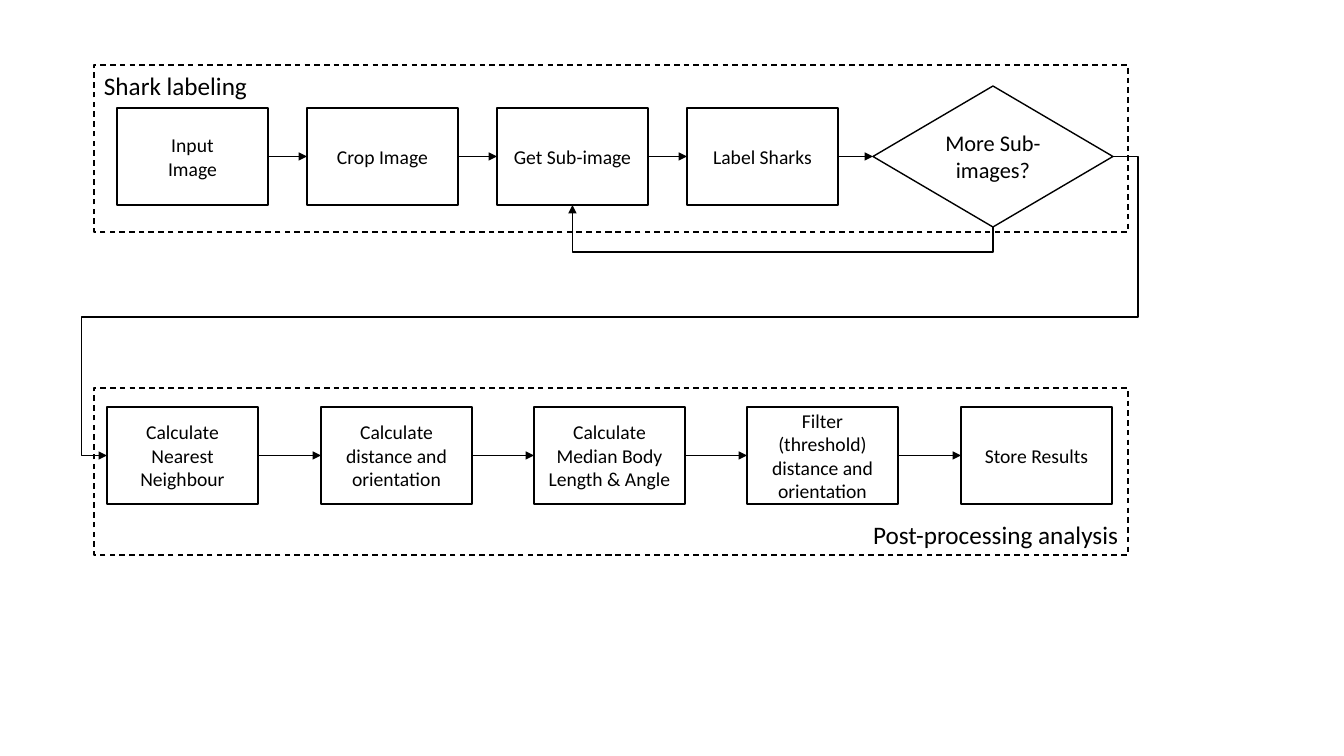
from dataclasses import dataclass
from itertools import pairwise
from typing import NamedTuple

from lxml import etree
from pptx import Presentation
from pptx.dml.color import RGBColor
from pptx.enum.dml import MSO_LINE
from pptx.enum.shapes import MSO_CONNECTOR, MSO_SHAPE
from pptx.enum.text import MSO_ANCHOR, PP_ALIGN
from pptx.oxml.ns import qn
from pptx.shapes.autoshape import Shape
from pptx.shapes.connector import Connector
from pptx.util import Emu, Pt

RECTANGLE, DIAMOND = MSO_SHAPE.RECTANGLE, MSO_SHAPE.DIAMOND
STRAIGHT, ELBOW = MSO_CONNECTOR.STRAIGHT, MSO_CONNECTOR.ELBOW
TOP, MIDDLE, BOTTOM = MSO_ANCHOR.TOP, MSO_ANCHOR.MIDDLE, MSO_ANCHOR.BOTTOM
LEFT, CENTER, RIGHT = PP_ALIGN.LEFT, PP_ALIGN.CENTER, PP_ALIGN.RIGHT
DASH, SOLID = MSO_LINE.DASH, MSO_LINE.SOLID
LEFT_SITE, BOTTOM_SITE, RIGHT_SITE = 1, 2, 3
EMU_PER_PIXEL = 914400 / 100.8


@dataclass(frozen=True)
class Theme:
    ink: RGBColor = RGBColor(0, 0, 0)
    paper: RGBColor = RGBColor(255, 255, 255)
    font: str = "Calibri"
    frame_size: Pt = Pt(18)
    decision_size: Pt = Pt(16)
    step_size: Pt = Pt(14)
    stroke: Pt = Pt(1)


class Box(NamedTuple):
    left: int
    top: int
    width: int
    height: int


@dataclass(frozen=True)
class Node:
    text: str
    box: Box
    size: Pt
    geometry: MSO_SHAPE = RECTANGLE
    anchor: MSO_ANCHOR = MIDDLE
    alignment: PP_ALIGN = CENTER
    dash: MSO_LINE = SOLID


THEME = Theme()
STEP_WIDTH, STEP_HEIGHT = 151, 97
LABELING_LEFT, LABELING_TOP, LABELING_PITCH = 117, 108, 190
ANALYSIS_LEFT, ANALYSIS_TOP, ANALYSIS_SPAN = 107, 407, 854

LABELING_STEPS = ["Input\nImage", "Crop Image", "Get Sub-image", "Label Sharks"]
ANALYSIS_STEPS = [
    "Calculate Nearest Neighbour",
    "Calculate distance and orientation",
    "Calculate Median Body Length & Angle",
    "Filter (threshold) distance and orientation",
    "Store Results",
]
FRAMES = [
    Node("Shark labeling", Box(94, 65, 1034, 167), THEME.frame_size,
         anchor=TOP, alignment=LEFT, dash=DASH),
    Node("Post-processing analysis", Box(94, 388, 1034, 167), THEME.frame_size,
         anchor=BOTTOM, alignment=RIGHT, dash=DASH),
]
DECISION = Node("More Sub-images?", Box(873, 86, 240, 141),
                THEME.decision_size, geometry=DIAMOND)


def px(pixels: float) -> Emu:
    return Emu(round(pixels * EMU_PER_PIXEL))


def apply(target: object, values: dict[str, object]) -> None:
    for name, value in values.items():
        setattr(target, name, value)


def draw_node(node: Node) -> Shape:
    shape = slide.shapes.add_shape(node.geometry, *map(px, node.box))
    shape.shadow.inherit = False
    shape.fill.solid()
    shape.fill.fore_color.rgb = THEME.paper
    shape.line.color.rgb = THEME.ink
    apply(shape.line, {"width": THEME.stroke, "dash_style": node.dash})
    frame = shape.text_frame
    apply(frame, {"text": node.text, "word_wrap": True, "vertical_anchor": node.anchor})
    for paragraph in frame.paragraphs:
        paragraph.alignment = node.alignment
        apply(paragraph.font, {"name": THEME.font, "size": node.size})
        paragraph.font.color.rgb = THEME.ink
    return shape


def draw_steps(texts: list[str], left: int, top: int, pitch: float) -> list[Shape]:
    return [
        draw_node(Node(text, Box(left + round(index * pitch), top, STEP_WIDTH, STEP_HEIGHT),
                       THEME.step_size))
        for index, text in enumerate(texts)
    ]


def draw_arrow(start: Shape, start_site: int, end: Shape, end_site: int,
               kind: MSO_CONNECTOR = STRAIGHT) -> Connector:
    connector = slide.shapes.add_connector(kind, 0, 0, 0, 0)
    connector.begin_connect(start, start_site)
    connector.end_connect(end, end_site)
    connector.line.color.rgb = THEME.ink
    connector.line.width = THEME.stroke
    properties = connector.element.spPr
    etree.SubElement(properties.find(qn("a:ln")), qn("a:tailEnd"), type="triangle")
    etree.SubElement(properties, qn("a:effectLst"))
    return connector


def bend(connector: Connector, preset: str, adjustments: list[int]) -> None:
    geometry = connector.element.spPr.find(qn("a:prstGeom"))
    geometry.set("prst", preset)
    guides = geometry.find(qn("a:avLst"))
    for number, value in enumerate(adjustments, 1):
        etree.SubElement(guides, qn("a:gd"), name=f"adj{number}", fmla=f"val {value}")


def turn_quarter(connector: Connector) -> None:
    width, height = connector.width, connector.height
    shift = (width - height) // 2
    apply(connector, {"left": connector.left + shift, "top": connector.top - shift,
                      "width": height, "height": width})
    transform = connector.element.spPr.find(qn("a:xfrm"))
    for name, value in {"rot": "5400000", "flipH": "1", "flipV": "0"}.items():
        transform.set(name, value)


presentation = Presentation()
apply(presentation, {"slide_width": px(1344), "slide_height": px(756)})
slide = presentation.slides.add_slide(presentation.slide_layouts[6])

for frame_node in FRAMES:
    draw_node(frame_node)
labeling = draw_steps(LABELING_STEPS, LABELING_LEFT, LABELING_TOP, LABELING_PITCH)
decision = draw_node(DECISION)
analysis = draw_steps(ANALYSIS_STEPS, ANALYSIS_LEFT, ANALYSIS_TOP,
                      ANALYSIS_SPAN / (len(ANALYSIS_STEPS) - 1))

for chain in ([*labeling, decision], analysis):
    for current, following in pairwise(chain):
        draw_arrow(current, RIGHT_SITE, following, LEFT_SITE)

repeat_arrow = draw_arrow(decision, BOTTOM_SITE, labeling[2], BOTTOM_SITE, ELBOW)
turn_quarter(repeat_arrow)
bend(repeat_arrow, "bentConnector3", [-113000])

handover_arrow = draw_arrow(decision, RIGHT_SITE, analysis[0], LEFT_SITE, ELBOW)
bend(handover_arrow, "bentConnector5", [-2500, 53700, 102500])

presentation.save("out.pptx")
